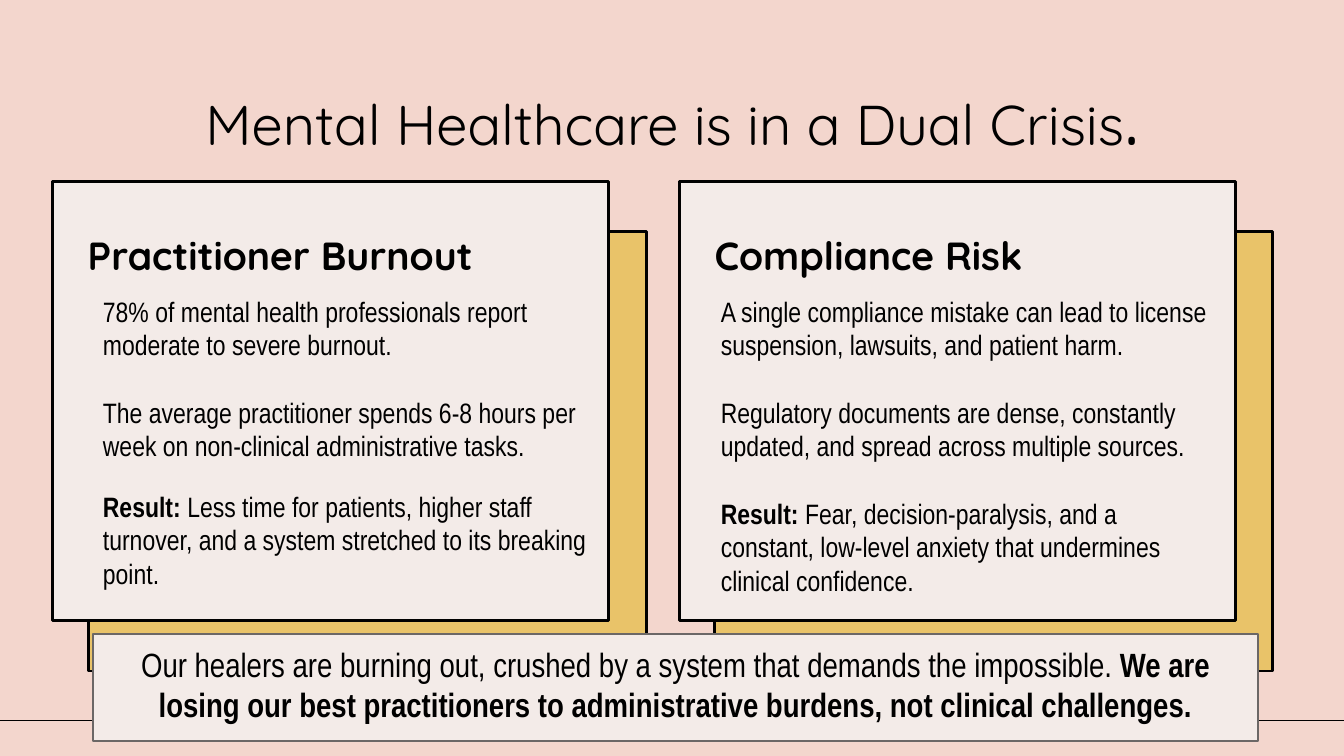
from pptx import Presentation
from pptx.dml.color import RGBColor
from pptx.enum.shapes import MSO_CONNECTOR, MSO_SHAPE
from pptx.enum.text import MSO_ANCHOR, MSO_AUTO_SIZE, PP_ALIGN
from pptx.oxml.ns import qn
from pptx.util import Cm, Pt
from lxml.etree import SubElement

COLORS = {name: RGBColor.from_string(value) for name, value in {
    "blush": "F3D6CD", "card": "F3EBE8", "gold": "E9C369",
    "ink": "000000", "edge": "6B6766"}.items()}


def paint(shape, fill, line, width):
    shape.fill.solid()
    shape.fill.fore_color.rgb = COLORS[fill]
    shape.line.color.rgb = COLORS[line]
    shape.line.width = Pt(width)


def write(para, pieces, font, size):
    """Fill a paragraph with (text, bold) runs in one font."""
    para.font.name = font
    para.font.size = Pt(size)
    para.font.color.rgb = COLORS["ink"]
    for text, bold in pieces:
        span = para.add_run()
        span.text = text
        span.font.bold = bold


deck = Presentation()
deck.slide_width, deck.slide_height = Cm(33.87), Cm(19.05)
page = deck.slides.add_slide(deck.slide_layouts.get_by_name("Comparison"))
page.background.fill.solid()
page.background.fill.fore_color.rgb = COLORS["blush"]
for holder in list(page.placeholders):
    if holder.placeholder_format.idx > 4:
        holder.element.getparent().remove(holder.element)

# Rules at the foot and gold panels, behind the placeholders
backdrop = []
for start, end in [(0, 2.34), (31.32, 33.87)]:
    rule = page.shapes.add_connector(
        MSO_CONNECTOR.STRAIGHT, Cm(start), Cm(18.15), Cm(end), Cm(18.15))
    rule.line.color.rgb = COLORS["ink"]
    rule.line.width = Pt(1)
    SubElement(rule.element.spPr, qn("a:effectLst"))
    backdrop.append(rule)
for left in (18.01, 2.24):
    panel = page.shapes.add_shape(
        MSO_SHAPE.RECTANGLE, Cm(left), Cm(5.84), Cm(14.05), Cm(11.07))
    panel.shadow.inherit = False
    paint(panel, "gold", "ink", 2)
    backdrop.append(panel)
first_holder = page.shapes.title.element
for shape in backdrop:
    first_holder.addprevious(shape.element)

# Title
title = page.shapes.title
title.left, title.top, title.width, title.height = Cm(3.18), Cm(1.42), Cm(27.53), Cm(2.82)
title.text_frame.auto_size = MSO_AUTO_SIZE.NONE
title.text_frame.vertical_anchor = MSO_ANCHOR.TOP
para = title.text_frame.paragraphs[0]
para.alignment = PP_ALIGN.CENTER
write(para, [("Mental Healthcare is in a Dual Crisis", False), (".", False)], "Quicksand", 40)
para.runs[1].font.size = Pt(60)

# Two cards: card left, text left, heading, paragraphs as (space before, runs)
cards = [
    (1.32, 2.34, "Practitioner Burnout", [
        (0, [("78% of mental health professionals report moderate to severe burnout.", False)]),
        (24, [("The average practitioner spends 6-8 hours per week on "
               "non-clinical administrative tasks.", False)]),
        (19, [("Result: ", True),
              ("Less time for patients, higher staff turnover, and a system "
               "stretched to its breaking point.", False)])]),
    (17.12, 17.91, "Compliance Risk", [
        (0, [("A single compliance mistake can lead to license suspension, "
              "lawsuits, and patient harm.", False)]),
        (24, [("Regulatory documents are dense, constantly updated, and spread "
               "across multiple sources.", False)]),
        (24, [("Result: ", True),
              ("Fear, decision-paralysis, and a constant, low-level anxiety that "
               "undermines clinical confidence.", False)])]),
]
holders = {holder.placeholder_format.idx: holder for holder in page.placeholders}
for number, (card_left, text_left, heading, paragraphs) in enumerate(cards):
    card, body = holders[1 + 2 * number], holders[2 + 2 * number]
    card.left, card.top, card.width, card.height = Cm(card_left), Cm(4.57), Cm(14.02), Cm(11.07)
    body.left, body.top, body.width, body.height = Cm(text_left), Cm(7.29), Cm(12.8), Cm(7.75)
    paint(card, "card", "ink", 2)
    for holder in (card, body):
        holder.text_frame.auto_size = MSO_AUTO_SIZE.NONE
        holder.text_frame.vertical_anchor = MSO_ANCHOR.TOP
    card.text_frame.margin_left, card.text_frame.margin_top = Cm(0.89), Cm(1.4)
    para = card.text_frame.paragraphs[0]
    para.line_spacing = 0.9
    para.space_before = Pt(0)
    write(para, [(heading, True)], "Quicksand", 28)

    for index, (gap, pieces) in enumerate(paragraphs):
        para = body.text_frame.add_paragraph() if index else body.text_frame.paragraphs[0]
        properties = para._p.get_or_add_pPr()
        properties.set("marL", "0")
        properties.set("indent", "0")
        SubElement(properties, qn("a:buNone"))
        para.space_before = Pt(gap)
        write(para, pieces, "Arial Narrow", 20)

# Closing banner
banner = page.shapes.add_shape(
    MSO_SHAPE.RECTANGLE, Cm(2.34), Cm(15.98), Cm(29.36), Cm(2.69))
banner.shadow.inherit = False
paint(banner, "card", "edge", 1)
frame = banner.text_frame
frame.word_wrap = True
frame.vertical_anchor = MSO_ANCHOR.MIDDLE
frame.margin_bottom = Cm(0.3)
frame.paragraphs[0].alignment = PP_ALIGN.CENTER
write(frame.paragraphs[0], [
    ("Our healers are burning out, crushed by a system that demands the impossible. ", False),
    ("We are losing our best practitioners to administrative burdens, "
     "not clinical challenges.", True)], "Arial Narrow", 24)

deck.save("out.pptx")
